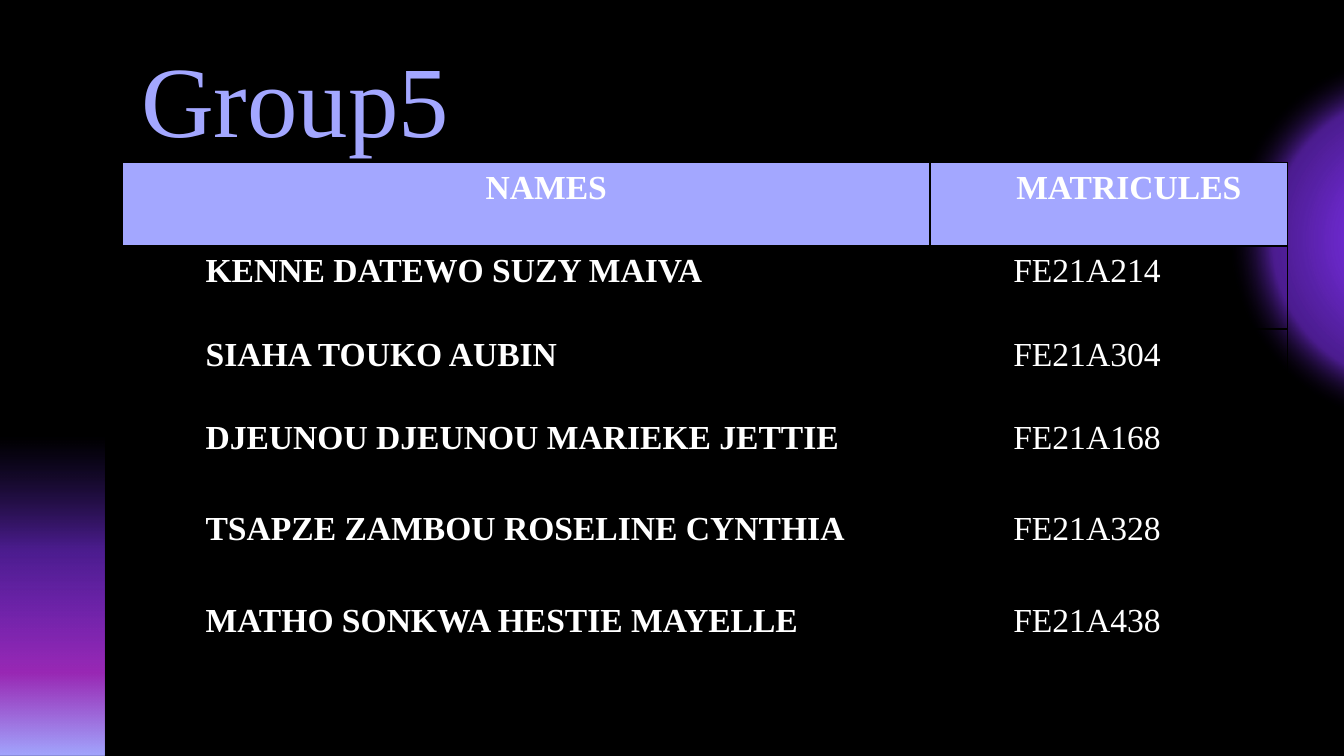
import pptx
import pptx.util
import pptx.oxml
import pptx.oxml.ns
import pptx.dml.color
import pptx.enum.shapes
import pptx.enum.text

Inches = pptx.util.Inches
Pt = pptx.util.Pt
RGBColor = pptx.dml.color.RGBColor
MSO_SHAPE = pptx.enum.shapes.MSO_SHAPE
PP_ALIGN = pptx.enum.text.PP_ALIGN
NAMESPACE = pptx.oxml.ns.nsdecls("a")

BLACK = RGBColor(0x00, 0x00, 0x00)
WHITE = RGBColor(0xFF, 0xFF, 0xFF)
LAVENDER = RGBColor(0xA3, 0xA7, 0xFF)
INDIGO = RGBColor(0x4F, 0x2A, 0xAD)
VIOLET = RGBColor(0x87, 0x33, 0xFF)
MAGENTA = RGBColor(0x9A, 0x29, 0xB5)
FONT = "Times New Roman"


def add_gradient_shape(page, kind, left, top, width, height, stops, direction):
    shape = page.shapes.add_shape(kind, Inches(left), Inches(top), Inches(width), Inches(height))
    shape.shadow.inherit = False
    shape.line.fill.background()
    stop_xml = "".join(
        f'<a:gs pos="{position * 1000}"><a:srgbClr val="{color}">'
        f'<a:alpha val="{alpha * 1000}"/></a:srgbClr></a:gs>'
        for position, color, alpha in stops
    )
    gradient = pptx.oxml.parse_xml(
        f'<a:gradFill {NAMESPACE} rotWithShape="1"><a:gsLst>{stop_xml}</a:gsLst>{direction}</a:gradFill>'
    )
    shape.element.spPr.find(pptx.oxml.ns.qn("a:prstGeom")).addnext(gradient)
    return shape


def add_span(para, text, size, color, bold=False):
    span = para.add_run()
    span.text = text
    span.font.name = FONT
    span.font.size = Pt(size)
    span.font.bold = bold
    span.font.color.rgb = color


deck = pptx.Presentation()
deck.slide_width = Inches(10)
deck.slide_height = Inches(10) * 9 // 16
page = deck.slides.add_slide(deck.slide_layouts[6])
page.background.fill.solid()
page.background.fill.fore_color.rgb = BLACK

add_gradient_shape(
    page, MSO_SHAPE.RECTANGLE, -0.86, 3.25, 1.64, 2.37,
    [(0, INDIGO, 0), (35, VIOLET, 55), (74, MAGENTA, 100), (100, LAVENDER, 100)],
    '<a:lin ang="5400000" scaled="0"/>',
)
glow = add_gradient_shape(
    page, MSO_SHAPE.OVAL, 9.05, 0.29, 2.97, 2.97,
    [(0, VIOLET, 100), (29, VIOLET, 76), (41, VIOLET, 64), (51, VIOLET, 55), (67, BLACK, 0), (100, BLACK, 0)],
    '<a:path path="circle"><a:fillToRect l="50000" t="50000" r="50000" b="50000"/></a:path>',
)
glow.rotation = 180

title_box = page.shapes.add_textbox(Inches(0.42), Inches(0.23), Inches(3.55), Inches(0.98))
title = title_box.text_frame
title.word_wrap = True
title.vertical_anchor = pptx.enum.text.MSO_ANCHOR.MIDDLE
title.margin_left = title.margin_right = title.margin_top = title.margin_bottom = Inches(0.1)
title.paragraphs[0].alignment = PP_ALIGN.CENTER
add_span(title.paragraphs[0], "Group5", 54, LAVENDER)

members = [
    ("NAMES", "MATRICULES"),
    ("KENNE DATEWO SUZY MAIVA", "FE21A214"),
    ("SIAHA TOUKO AUBIN", "FE21A304"),
    ("DJEUNOU DJEUNOU MARIEKE JETTIE", "FE21A168"),
    ("TSAPZE ZAMBOU ROSELINE CYNTHIA", "FE21A328"),
    ("MATHO SONKWA HESTIE MAYELLE", "FE21A438"),
]
table = page.shapes.add_table(
    len(members), 2, Inches(0.91), Inches(1.21), Inches(8.67), Inches(3.9)
).table
table.horz_banding = False
for column, width in zip(table.columns, (6.01, 2.66)):
    column.width = Inches(width)

for row_index, member in enumerate(members):
    table.rows[row_index].height = Inches(0.62 if row_index < 3 else 0.68)
    is_header = row_index == 0
    for column_index, text in enumerate(member):
        cell = table.cell(row_index, column_index)
        cell.margin_left = Inches(0.07)
        cell.margin_right = Inches(0.32 if is_header else 0.08)
        cell.margin_top = Inches(0.01)
        cell.margin_bottom = 0
        properties = cell._tc.get_or_add_tcPr()
        for side in ("lnL", "lnR", "lnT", "lnB"):
            properties.append(pptx.oxml.parse_xml(
                f'<a:{side} {NAMESPACE} w="{Pt(1)}"><a:solidFill>'
                f'<a:srgbClr val="{BLACK}"/></a:solidFill></a:{side}>'
            ))
        if is_header:
            cell.fill.solid()
            cell.fill.fore_color.rgb = LAVENDER
        else:
            cell.fill.background()
        para = cell.text_frame.paragraphs[0]
        para.alignment = PP_ALIGN.CENTER if is_header else PP_ALIGN.LEFT
        para.line_spacing = 1.15
        para.space_after = Pt(0.2)
        indents = para._p.get_or_add_pPr()
        indents.set("marL", str(Inches(0.81)))
        indents.set("indent", str(Inches(-0.26)))
        add_span(para, text, 18, WHITE, bold=is_header or column_index == 0)

deck.save("out.pptx")
